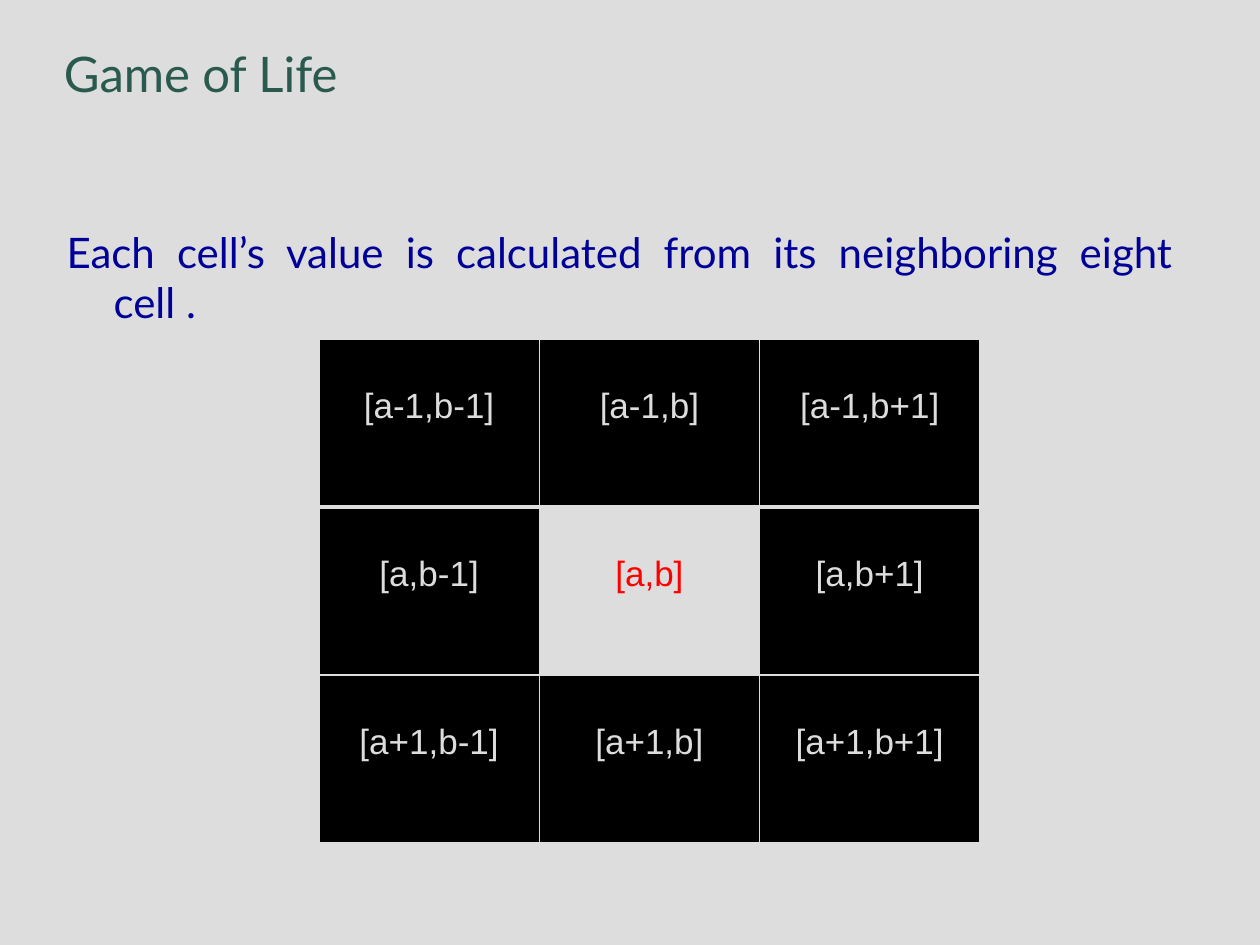
from lxml.etree import SubElement
from pptx import Presentation
from pptx.dml.color import RGBColor
from pptx.enum.text import MSO_ANCHOR as Anchor, MSO_AUTO_SIZE as AutoSize, PP_ALIGN as Align
from pptx.oxml.ns import qn
from pptx.util import Pt

PIXEL = 914400 // 126
COLORS = {"ground": "DDDDDD", "title": "2A594D", "body": "000099",
          "cell": "000000", "center": "FF0000"}
ROW_OFFSETS = ("a-1", "a", "a+1")
COLUMN_OFFSETS = ("b-1", "b", "b+1")


def px(value):
    return value * PIXEL


def color(name):
    return RGBColor.from_string(COLORS[name])


def apply(target, values):
    for name, value in values.items():
        setattr(target, name, value)


def place(item, left, top, width, height):
    apply(item, {"left": px(left), "top": px(top),
                 "width": px(width), "height": px(height)})


def write(frame, text, font, size, ink, align):
    para = frame.paragraphs[0]
    para.alignment = align
    span = para.add_run()
    span.text = text
    apply(span.font, {"name": font, "size": Pt(size)})
    span.font.color.rgb = color(ink)
    return para


def add_title(page, text):
    title = page.shapes.title
    place(title, 64, 23, 1133, 100)
    frame = title.text_frame
    apply(frame, {"margin_left": 0, "margin_top": 0, "margin_right": 0,
                  "margin_bottom": 0, "vertical_anchor": Anchor.MIDDLE,
                  "word_wrap": True, "auto_size": AutoSize.NONE})
    write(frame, text, "Lato", 28, "title", Align.LEFT)


def add_body(page, text):
    body = page.placeholders[1]
    place(body, 54, 220, 1131, 640)
    frame = body.text_frame
    apply(frame, {"word_wrap": True, "auto_size": AutoSize.NONE})
    para = write(frame, text, "Lato", 24, "body", Align.JUSTIFY)
    props = para._p.get_or_add_pPr()
    props.set("marL", str(px(47)))
    props.set("indent", str(px(-47)))
    SubElement(props, qn("a:buNone"))


def add_border(cell, side, width):
    line = SubElement(cell._tc.get_or_add_tcPr(), qn(f"a:ln{side}"), w=str(Pt(width)))
    fill = SubElement(line, qn("a:solidFill"))
    SubElement(fill, qn("a:srgbClr"), val=COLORS["ground"])


def format_cell(cell, row, column):
    is_center = row == column == 1
    apply(cell, {"margin_top": px(48), "vertical_anchor": Anchor.TOP})
    thick_side = {0: "B", 1: "T"}.get(row)
    for side in "LRTB":
        add_border(cell, side, 3 if side == thick_side else 1)
    cell.fill.solid()
    cell.fill.fore_color.rgb = color("ground" if is_center else "cell")
    write(cell.text_frame, f"[{ROW_OFFSETS[row]},{COLUMN_OFFSETS[column]}]",
          "Arial", 20, "center" if is_center else "ground", Align.CENTER)


def add_neighbor_table(page):
    size = len(ROW_OFFSETS)
    table = page.shapes.add_table(size, size, px(319), px(339), px(661), px(504)).table
    apply(table, {"first_row": False, "horz_banding": False})
    for row in range(size):
        for column in range(size):
            format_cell(table.cell(row, column), row, column)


def main():
    deck = Presentation()
    apply(deck, {"slide_width": px(1260), "slide_height": px(945)})
    page = deck.slides.add_slide(deck.slide_layouts[1])
    page.background.fill.solid()
    page.background.fill.fore_color.rgb = color("ground")
    add_title(page, "Game of Life")
    add_body(page, "Each cell’s value is calculated from its neighboring eight cell .")
    add_neighbor_table(page)
    deck.save("out.pptx")


main()
